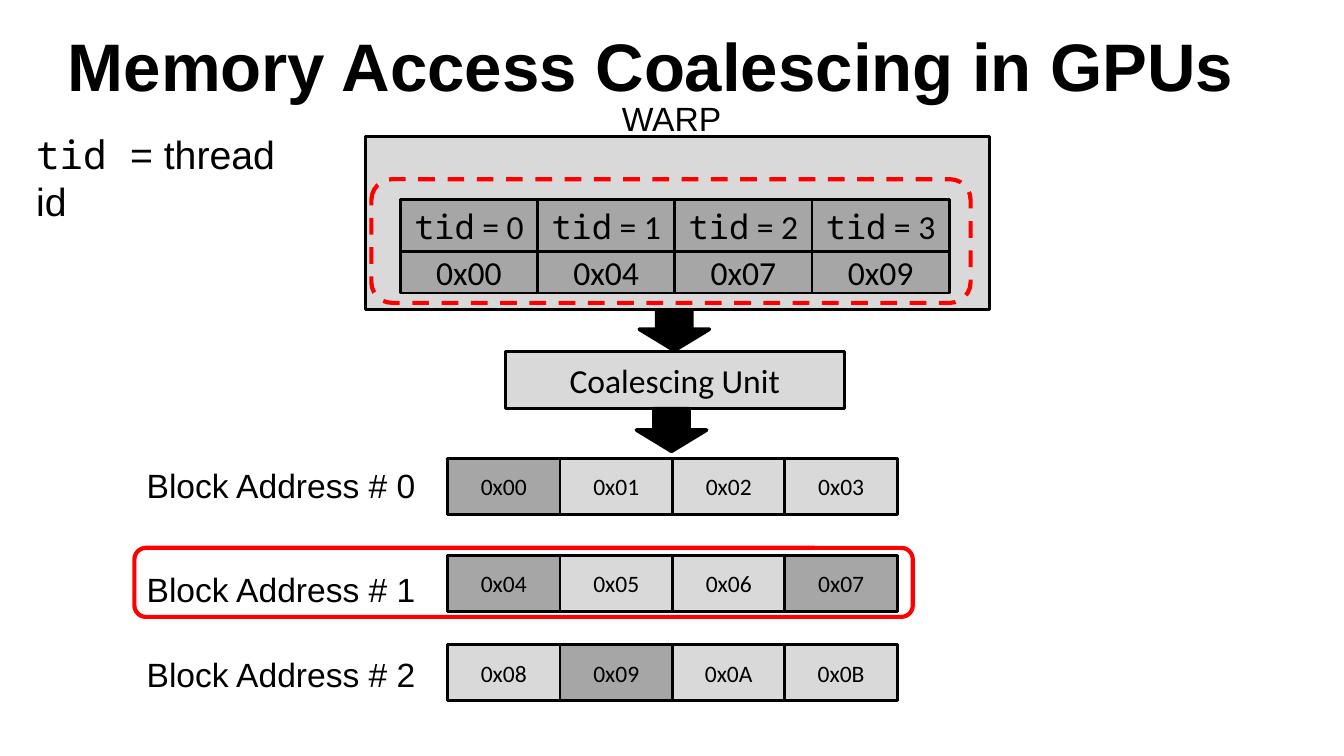
from pptx import Presentation
from pptx.dml.color import RGBColor
from pptx.enum.dml import MSO_LINE_DASH_STYLE as Dash
from pptx.enum.shapes import MSO_SHAPE as Shape
from pptx.enum.text import MSO_ANCHOR as Anchor, PP_ALIGN as Align
from pptx.util import Pt

BLACK, RED, LIGHT, DARK = "000000", "FF0000", "D9D9D9", "A6A6A6"
SANS, BODY, MONO = "Arial", "Calibri", "Noto Sans Mono"
CELL_WIDTH, CELL_HEIGHT = 60.25, 30
THREAD_LEFT, THREAD_WIDTH = 214.5, 73.5
THREAD_ADDRESSES = ["0x00", "0x04", "0x07", "0x09"]
BLOCK_TOPS = [245.5, 297.5, 345.5]
LABEL_TOPS = [245.5, 301, 347]


def paint(color_format, color):
    """Give a colour format a hex colour."""
    color_format.rgb = RGBColor.from_string(color)


def set_values(target, values):
    """Set every attribute named in the dict on the target."""
    for name, value in values.items():
        setattr(target, name, value)


def write(shape, spans, align, **frame_format):
    """Write (text, font, size) spans as the one paragraph of a shape."""
    frame = shape.text_frame
    set_values(frame, frame_format)
    para = frame.paragraphs[0]
    para.alignment = align
    for text, font, size, *bold in spans:
        span = para.add_run()
        span.text = text
        set_values(span.font, {"name": font, "size": Pt(size), "bold": bool(bold)})
        paint(span.font.color, BLACK)


def add_label(page, area, spans, align=Align.LEFT, wrap=False, **frame_format):
    """Add a text box at (left, top, width, height)."""
    box = page.shapes.add_textbox(*map(Pt, area))
    write(box, spans, align, word_wrap=wrap, **frame_format)


def add_box(page, kind, area, fill=None, line=BLACK, spans=(), **line_format):
    """Add an outlined preset shape with optional fill and centred text."""
    box = page.shapes.add_shape(kind, *map(Pt, area))
    box.shadow.inherit = False
    if fill:
        box.fill.solid()
        paint(box.fill.fore_color, fill)
    else:
        box.fill.background()
    paint(box.line.color, line)
    set_values(box.line, {"width": Pt(1.5), **line_format})
    if spans:
        write(box, spans, Align.CENTER, vertical_anchor=Anchor.MIDDLE, word_wrap=True,
              margin_left=0, margin_right=0, margin_top=0, margin_bottom=0)


def add_arrow(page, left, top):
    """Add a black block arrow pointing down."""
    add_box(page, Shape.DOWN_ARROW, (left, top, 37.5, 22.75), BLACK, width=Pt(2))


def add_warp(page):
    """Draw the warp with its threads and the addresses they request."""
    add_box(page, Shape.RECTANGLE, (196, 73, 334, 93), LIGHT)
    lefts = [THREAD_LEFT + index * THREAD_WIDTH for index in range(len(THREAD_ADDRESSES))]
    for left, address in zip(lefts, THREAD_ADDRESSES):
        add_box(page, Shape.RECTANGLE, (left, 134.75, THREAD_WIDTH, 22.25), DARK,
                spans=[(address, BODY, 18)])
    add_box(page, Shape.ROUNDED_RECTANGLE, (199, 96, 321, 66.25), line=RED,
            width=Pt(2.25), dash_style=Dash.DASH)
    for index, left in enumerate(lefts):
        add_box(page, Shape.RECTANGLE, (left, 107, THREAD_WIDTH, 27.75), DARK,
                spans=[("tid", MONO, 18), (f" = {index}", BODY, 18)])


def add_block(page, index):
    """Draw one memory block, with the requested addresses darker."""
    for column in range(4):
        address = f"0x{index * 4 + column:02X}"
        area = (239.75 + column * CELL_WIDTH, BLOCK_TOPS[index], CELL_WIDTH, CELL_HEIGHT)
        fill = DARK if address in THREAD_ADDRESSES else LIGHT
        add_box(page, Shape.RECTANGLE, area, fill, spans=[(address, BODY, 12.6)])


def main():
    """Build the slide and save it."""
    deck = Presentation()
    set_values(deck, {"slide_width": Pt(720), "slide_height": Pt(405)})
    page = deck.slides.add_slide(deck.slide_layouts[6])

    add_label(page, (8.5, 1, 703.5, 67.5),
              [("Memory Access Coalescing in GPUs", SANS, 36, True)],
              Align.CENTER, True, vertical_anchor=Anchor.MIDDLE, margin_right=Pt(30))
    add_box(page, Shape.RECTANGLE, (270.75, 188.5, 181.5, 30.25), LIGHT,
            spans=[("Coalescing Unit", BODY, 18)])
    add_arrow(page, 342.5, 165)
    add_warp(page)
    add_arrow(page, 341, 219)
    for index in range(len(BLOCK_TOPS)):
        add_block(page, index)

    add_label(page, (326, 49, 68.5, 29), [("WARP", SANS, 18)])
    add_label(page, (12.25, 66.5, 156, 32.5),
              [("tid ", MONO, 21), ("= thread id", SANS, 21)], wrap=True)
    add_box(page, Shape.ROUNDED_RECTANGLE, (72, 293.5, 417, 37), line=RED, width=Pt(2.25))
    for index, top in enumerate(LABEL_TOPS):
        add_label(page, (71.5, top, 160, 29), [(f"Block Address # {index}", SANS, 18)])

    deck.save("out.pptx")


if __name__ == "__main__":
    main()
